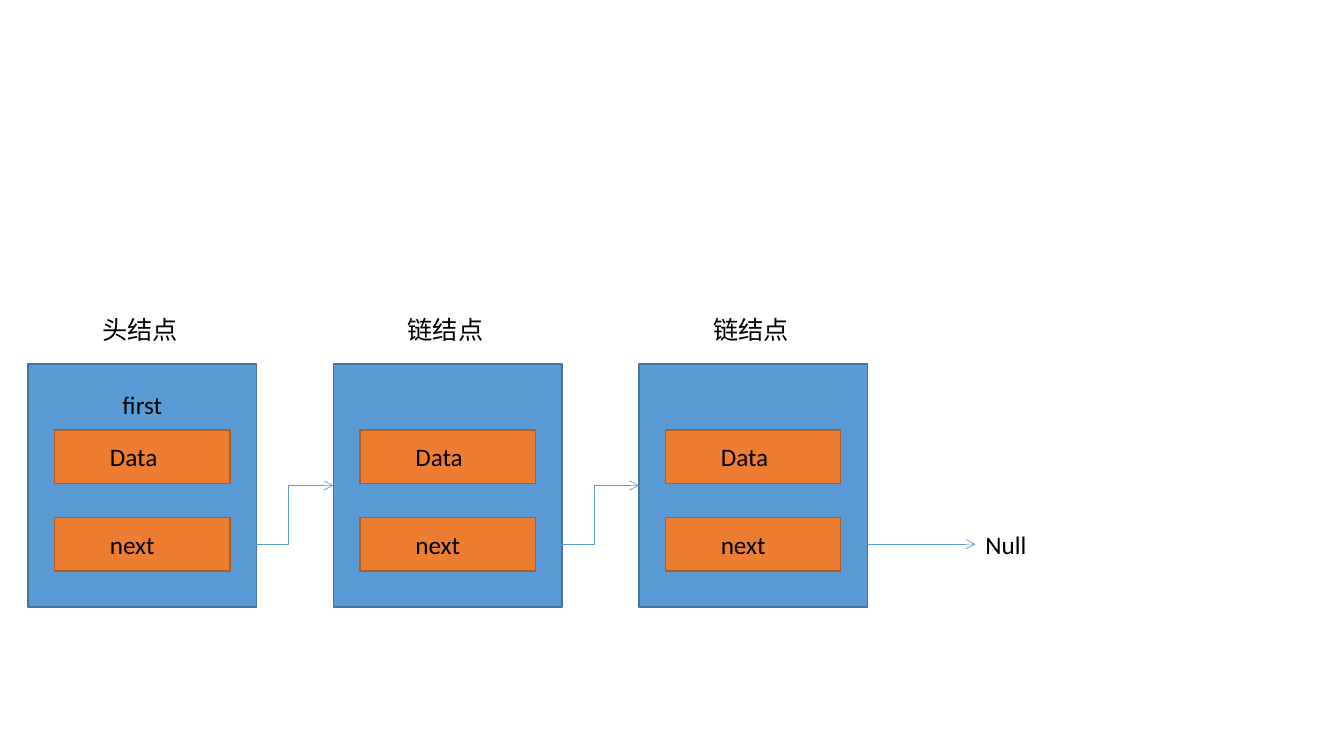
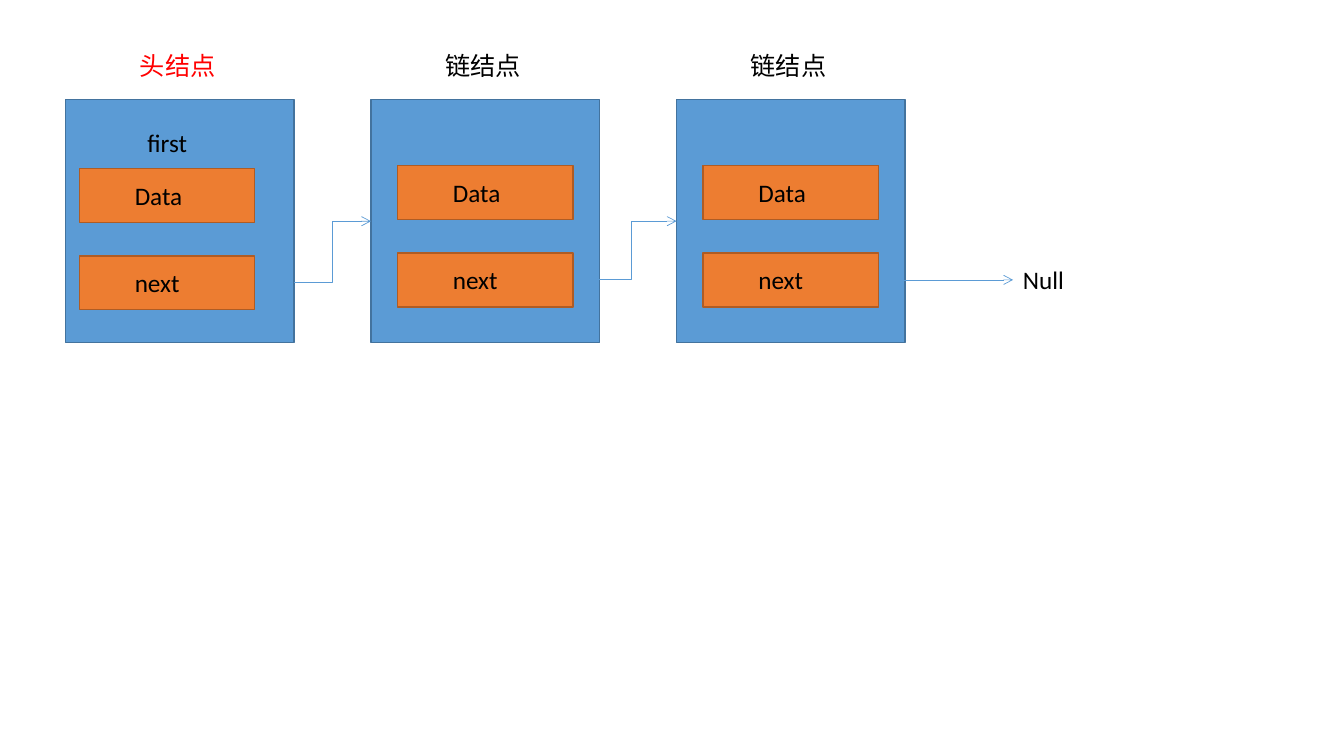
from dataclasses import dataclass

from lxml.etree import SubElement
from pptx import Presentation
from pptx.dml.color import RGBColor
from pptx.enum.shapes import MSO_CONNECTOR as Link, MSO_SHAPE as Preset
from pptx.enum.text import MSO_AUTO_SIZE as AutoSize
from pptx.oxml.ns import qn
from pptx.util import Pt

# Shared geometry in points
NODE_W, NODE_H, NODE_PITCH = 163.4, 173.6, 218.2
FIELD_W, FIELD_H, FIELD_PITCH = 125.2, 38.4, 62.4
FIELD_OFFSET = (19, 47.2)
TEXT_W, TEXT_H = 103, 29
TEXT_DX, TEXT_DY = 32.4, 4.6
FIRST_DX, FIRST_DY = 41.4, -33
CAPTION_DX, CAPTION_DY, CAPTION_W = 46, -39, 81
NULL_ARROW = 86


def color(hex_code):
    return RGBColor.from_string(hex_code)


def write(frame, text, size=18, font="Calibri", ink="000000"):
    frame.word_wrap = True
    frame.auto_size = AutoSize.SHAPE_TO_FIT_TEXT
    run = frame.paragraphs[0].add_run()
    run.text = text
    run.font.size = Pt(size)
    run.font.name = font
    run.font.color.rgb = color(ink)


@dataclass
class Node:
    left: float
    top: float
    exit_x: float
    exit_y: float


class ListDiagram:
    """Style and current slide of the linked list drawings."""

    blue, blue_edge = "5B9BD5", "43739E"
    orange, orange_edge = "ED7D31", "AF5C24"

    def __init__(self, deck):
        self.deck = deck
        self.slide = None

    def new_slide(self):
        self.slide = self.deck.slides.add_slide(self.deck.slide_layouts[6])

    def box(self, left, top, width, height, fill, edge):
        rect = self.slide.shapes.add_shape(
            Preset.RECTANGLE, Pt(left), Pt(top), Pt(width), Pt(height))
        rect.shadow.inherit = False
        rect.fill.solid()
        rect.fill.fore_color.rgb = color(fill)
        rect.line.color.rgb = color(edge)
        rect.line.width = Pt(1)

    def label(self, left, top, text, width=TEXT_W, **style):
        holder = self.slide.shapes.add_textbox(
            Pt(left), Pt(top), Pt(width), Pt(TEXT_H))
        write(holder.text_frame, text, **style)

    def arrow(self, kind, x1, y1, x2, y2):
        link = self.slide.shapes.add_connector(
            kind, Pt(x1), Pt(y1), Pt(x2), Pt(y2))
        link.line.color.rgb = color(self.blue)
        link.line.width = Pt(0.5)
        SubElement(link.line._get_or_add_ln(), qn("a:tailEnd"), type="arrow")
        SubElement(link._element.spPr, qn("a:effectLst"))

    def node(self, left, top, caption, is_head=False, offset=FIELD_OFFSET,
             exit_at_edge=False, **caption_style):
        self.box(left, top, NODE_W, NODE_H, self.blue, self.blue_edge)
        self.label(left + CAPTION_DX, top + CAPTION_DY, caption,
                   width=CAPTION_W, **caption_style)
        field_x, field_y = left + offset[0], top + offset[1]
        if is_head:
            self.label(field_x + FIRST_DX, field_y + FIRST_DY, "first")
        for row, name in enumerate(("Data", "next")):
            y = field_y + row * FIELD_PITCH
            self.box(field_x, y, FIELD_W, FIELD_H, self.orange, self.orange_edge)
            self.label(field_x + TEXT_DX, y + TEXT_DY, name)
        # The outgoing link leaves level with the "next" text
        exit_x = left + NODE_W if exit_at_edge else field_x + TEXT_DX + TEXT_W
        exit_y = field_y + FIELD_PITCH + TEXT_DY + TEXT_H / 2
        return Node(left, top, exit_x, exit_y)

    def linked_list(self, left, top, **head_style):
        nodes = [self.node(left, top, "头结点", is_head=True, **head_style)]
        nodes += [self.node(left + i * NODE_PITCH, top, "链结点") for i in (1, 2)]
        for source, target in zip(nodes, nodes[1:]):
            self.arrow(Link.ELBOW, source.exit_x, source.exit_y,
                       target.left, target.top + NODE_H / 2)
        # End of the list
        last = nodes[-1]
        null_x = last.exit_x + NULL_ARROW
        self.arrow(Link.STRAIGHT, last.exit_x, last.exit_y, null_x, last.exit_y)
        self.label(null_x, last.exit_y - TEXT_H / 2, "Null")


def main():
    deck = Presentation()
    deck.slide_width, deck.slide_height = Pt(960), Pt(540)
    diagram = ListDiagram(deck)

    # Slide 1: plain list
    diagram.new_slide()
    diagram.linked_list(20, 260)

    # Slide 2: highlighted head node
    diagram.new_slide()
    diagram.linked_list(46.8, 71.2, offset=(10, 49.2), exit_at_edge=True,
                        ink="FF0000")

    deck.save("out.pptx")


if __name__ == "__main__":
    main()
